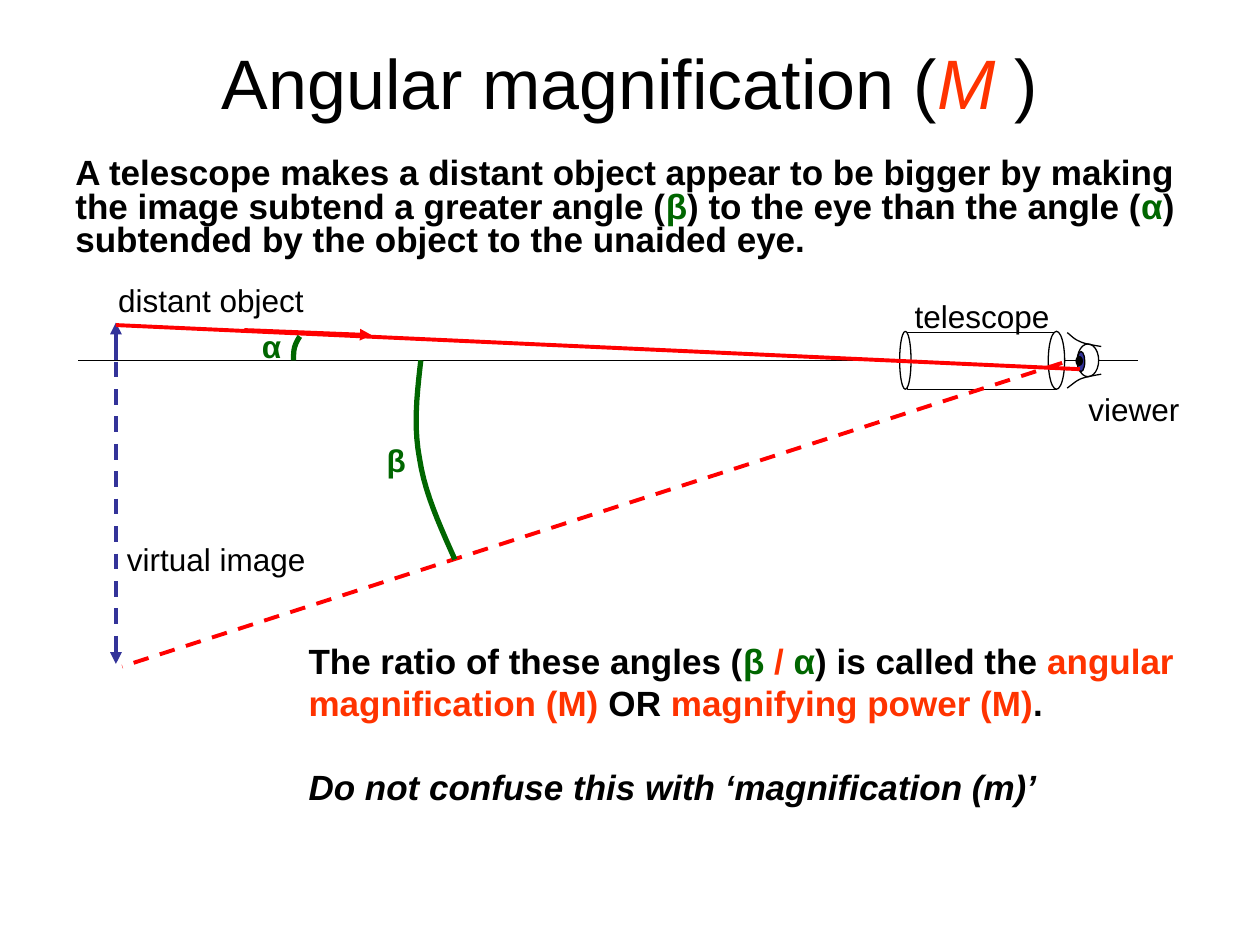
"""Build a slide explaining the angular magnification of a telescope."""
import pptx
import pptx.dml.color
import pptx.enum.dml
import pptx.enum.shapes
import pptx.enum.text
import pptx.oxml.ns
import pptx.util
from lxml import etree
from pptx.util import Inches

THEME = {
    "font": "Arial",
    "black": "000000", "white": "FFFFFF", "red": "FF0000",
    "orange": "FF3300", "green": "006600", "blue": "333399",
    "title": 40, "body": 20, "label": 18,
    "thin": 0.75, "ray": 2.25, "arc": 3,
}

TITLE = [("Angular magnification (", "black"), ("M ", "orange", True), (")", "black")]
INTRODUCTION = [
    ("A telescope makes a distant object appear to be bigger by making "
     "the image subtend a greater angle (", "black"),
    ("β", "green"), (") to the eye than the angle (", "black"), ("α", "green"),
    (") subtended by the object to the unaided eye.", "black"),
]
RATIO = [
    ("The ratio of these angles (", "black"), ("β", "green"), (" / ", "orange"),
    ("α", "green"), (") is called the ", "black"),
    ("angular magnification (M)", "orange"), (" OR ", "black"),
    ("magnifying power (M)", "orange"), (".", "black"),
]
WARNING = [("Do not confuse this with ‘magnification (m)’", "black", True)]

LABELS = [
    ("telescope", "black", (7.16, 2.31, 1.65, 0.4)),
    ("viewer", "black", (8.54, 3.05, 0.99, 0.4)),
    ("distant object", "black", (0.84, 2.18, 2.16, 0.4)),
    ("virtual image", "black", (0.91, 4.24, 1.73, 0.4)),
    ("α", "green", (1.98, 2.55, 0.65, 0.4)),
    ("β", "green", (2.97, 3.45, 0.45, 0.4)),
]

AXIS = ((0.62, 2.86), (9.03, 2.86), "black", "thin", False, False)
RAYS = [
    ((0.92, 2.86), (0.92, 2.56), "blue", "ray", False, True),
    ((0.92, 2.58), (8.57, 2.93), "red", "ray", False, False),
    ((1.94, 2.62), (2.95, 2.66), "red", "ray", False, True),
    ((8.43, 2.88), (0.97, 5.29), "red", "ray", True, False),
    ((0.92, 2.87), (0.92, 5.27), "blue", "ray", True, True),
]

TELESCOPE_AND_EYE = [
    ("RECTANGLE", (7.2, 2.64, 1.18, 0.45), "white"),
    ("OVAL", (7.14, 2.63, 0.09, 0.46), "white"),
    ("OVAL", (8.32, 2.63, 0.13, 0.46), "white"),
    ("OVAL", (8.55, 2.73, 0.17, 0.26), "white"),
    ("OVAL", (8.55, 2.79, 0.06, 0.16), "blue"),
    ("OVAL", (8.54, 2.83, 0.05, 0.07), "black"),
]

EYELIDS = [
    [(8.47, 2.64), (8.5, 2.66), (8.52, 2.69), (8.57, 2.71),
     (8.61, 2.73), (8.68, 2.74), (8.74, 2.75)],
    [(8.47, 3.08), (8.5, 3.06), (8.53, 3.03), (8.57, 3.01),
     (8.62, 2.99), (8.68, 2.98), (8.74, 2.97)],
]
ANGLE_ARCS = [
    [(2.38, 2.67), (2.36, 2.7), (2.35, 2.72), (2.34, 2.75),
     (2.33, 2.78), (2.33, 2.82), (2.33, 2.86)],
    [(3.34, 2.86), (3.31, 3.12), (3.28, 3.38), (3.33, 3.64),
     (3.37, 3.91), (3.49, 4.17), (3.61, 4.44)],
]
CURVE_STEPS = 10


def color(name):
    return pptx.dml.color.RGBColor.from_string(THEME[name])


def write(paragraph, runs, size, bold=False):
    paragraph.font.name = THEME["font"]
    paragraph.font.size = pptx.util.Pt(THEME[size])
    paragraph.font.bold = bold
    for text, color_name, *italic in runs:
        run = paragraph.add_run()
        run.text = text
        run.font.color.rgb = color(color_name)
        if italic:
            run.font.italic = True


def add_text(slide, box, runs, size, bold=False):
    shape = slide.shapes.add_textbox(*map(Inches, box))
    shape.text_frame.word_wrap = True
    write(shape.text_frame.paragraphs[0], runs, size, bold)
    return shape.text_frame


def style_line(line, color_name, width):
    line.color.rgb = color(color_name)
    line.width = pptx.util.Pt(THEME[width])


def add_line(slide, start, end, color_name, width, dashed, arrow):
    connector = slide.shapes.add_connector(
        pptx.enum.shapes.MSO_CONNECTOR.STRAIGHT, *map(Inches, start + end))
    style_line(connector.line, color_name, width)
    if dashed:
        connector.line.dash_style = pptx.enum.dml.MSO_LINE.DASH
    if arrow:
        line_element = connector.line._get_or_add_ln()
        etree.SubElement(line_element, pptx.oxml.ns.qn("a:tailEnd"), type="triangle")
    etree.SubElement(connector._element.spPr, pptx.oxml.ns.qn("a:effectLst"))


def add_outline(slide, kind, box, fill):
    preset = pptx.enum.shapes.MSO_SHAPE[kind]
    shape = slide.shapes.add_shape(preset, *map(Inches, box))
    shape.shadow.inherit = False
    shape.fill.solid()
    shape.fill.fore_color.rgb = color(fill)
    style_line(shape.line, "black", "thin")


def curve_points(controls):
    points = [controls[0]]
    for first in range(0, len(controls) - 1, 3):
        segment = controls[first:first + 4]
        for step in range(1, CURVE_STEPS + 1):
            t = step / CURVE_STEPS
            weights = ((1 - t) ** 3, 3 * t * (1 - t) ** 2, 3 * t * t * (1 - t), t ** 3)
            points.append(tuple(
                sum(weight * point[axis] for weight, point in zip(weights, segment))
                for axis in (0, 1)))
    return [(Inches(x), Inches(y)) for x, y in points]


def add_curve(slide, controls, color_name, width):
    start, *others = curve_points(controls)
    builder = slide.shapes.build_freeform(*start)
    builder.add_line_segments(others, close=False)
    shape = builder.convert_to_shape()
    shape.shadow.inherit = False
    shape.fill.background()
    style_line(shape.line, color_name, width)


def main():
    presentation = pptx.Presentation()
    presentation.slide_width, presentation.slide_height = Inches(10), Inches(7.5)
    slide = presentation.slides.add_slide(presentation.slide_layouts[5])

    title = slide.shapes.title
    title.left, title.top, title.width, title.height = map(Inches, (0.5, 0.3, 9, 0.69))
    title.text_frame.vertical_anchor = pptx.enum.text.MSO_ANCHOR.MIDDLE
    write(title.text_frame.paragraphs[0], TITLE, "title")
    title.text_frame.paragraphs[0].alignment = pptx.enum.text.PP_ALIGN.CENTER

    introduction = add_text(slide, (0.5, 1.21, 9.13, 1.03), INTRODUCTION, "body", True)
    introduction.paragraphs[0].line_spacing = 0.8

    add_line(slide, *AXIS)
    for part in TELESCOPE_AND_EYE:
        add_outline(slide, *part)
    for eyelid in EYELIDS:
        add_curve(slide, eyelid, "black", "thin")
    for ray in RAYS:
        add_line(slide, *ray)
    for arc in ANGLE_ARCS:
        add_curve(slide, arc, "green", "arc")
    for text, color_name, box in LABELS:
        add_text(slide, box, [(text, color_name)], "label", color_name == "green")

    conclusion = add_text(slide, (2.35, 5.03, 7.08, 1.94), RATIO, "body", True)
    warning = conclusion.add_paragraph()
    warning.space_before = pptx.util.Pt(24)
    write(warning, WARNING, "body", True)

    presentation.save("out.pptx")


if __name__ == "__main__":
    main()
